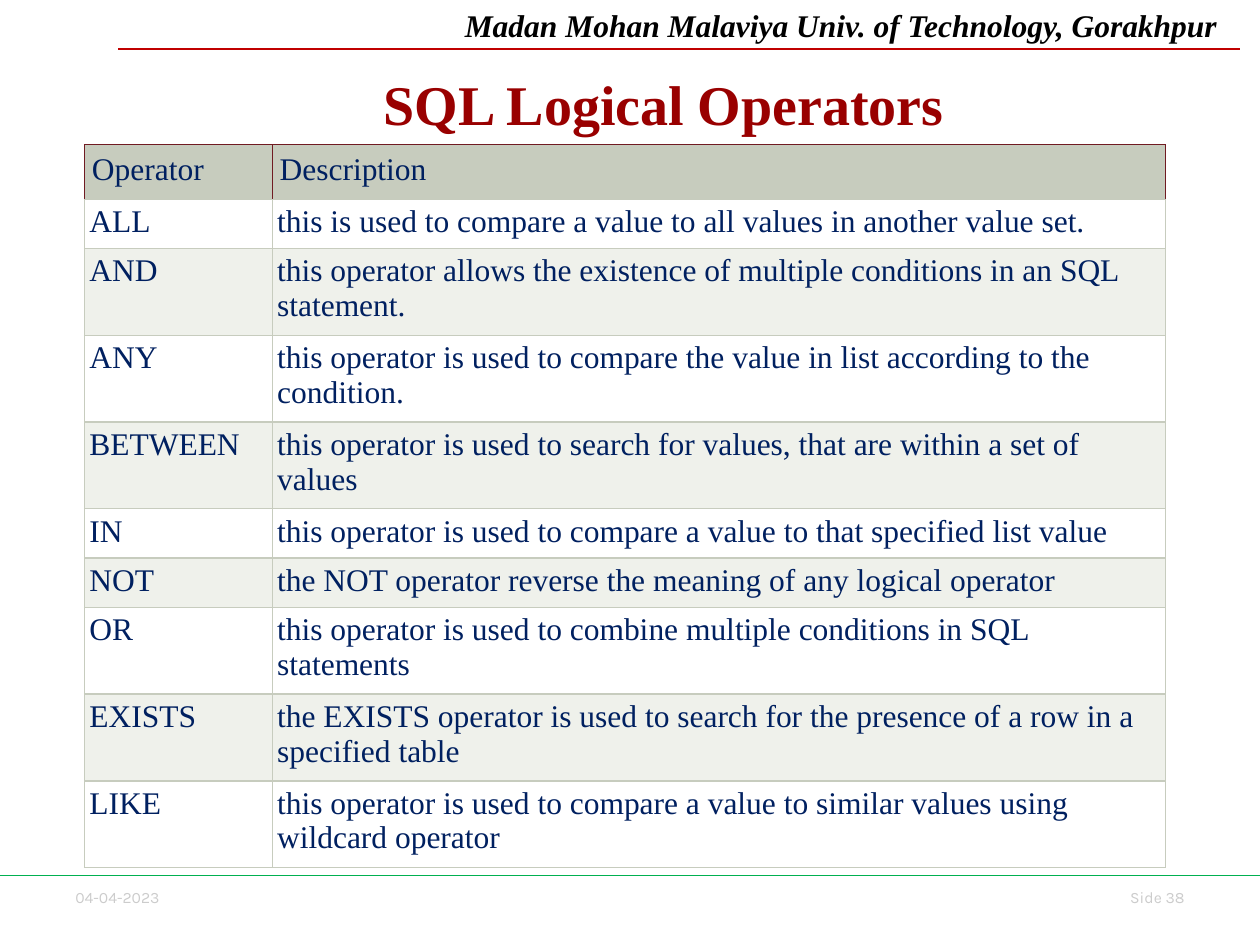
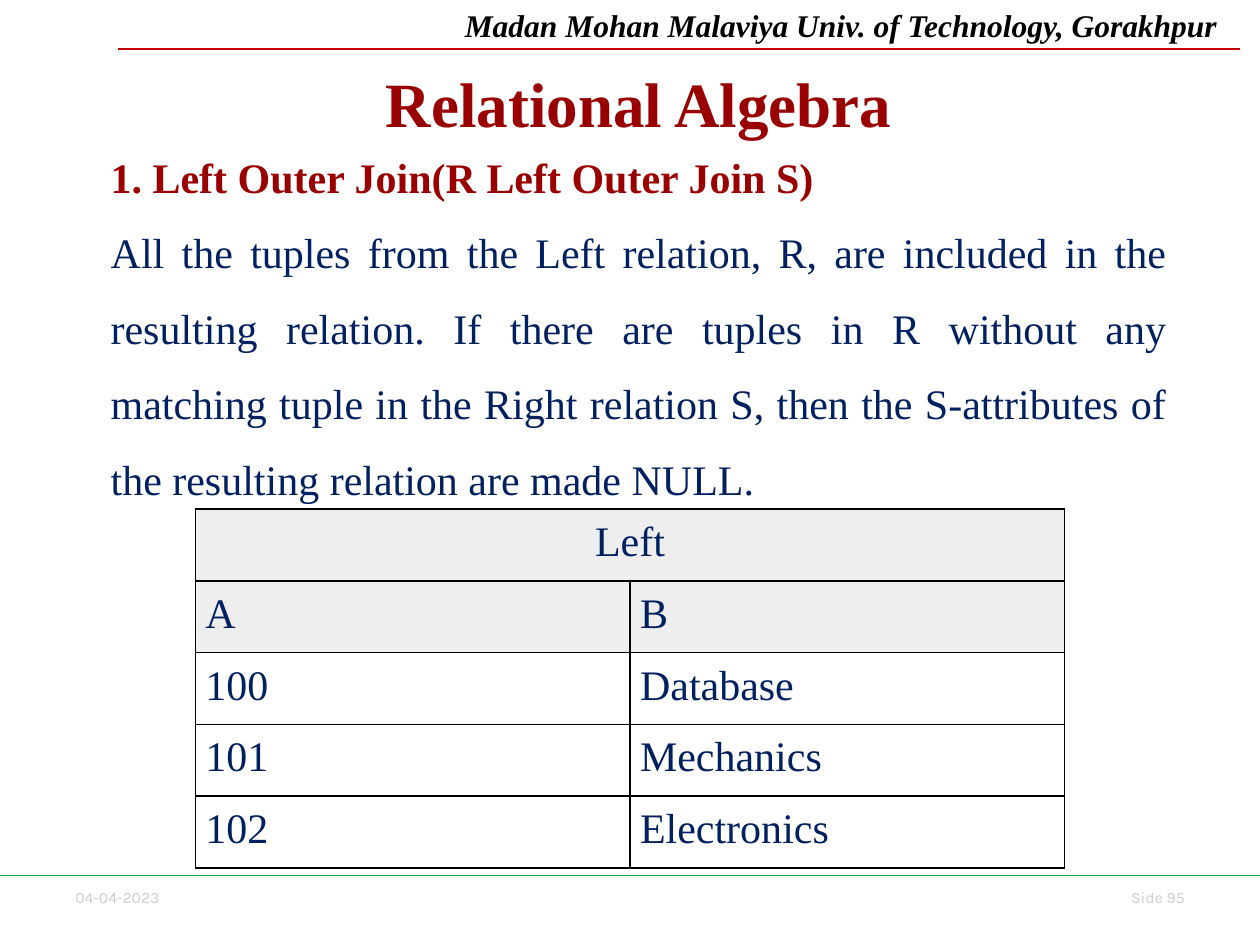
"""Build two slides on SQL logical operators and the left outer join."""
from lxml import etree
from pptx import Presentation
from pptx import util as u
from pptx.dml.color import RGBColor
from pptx.enum import shapes, text
from pptx.oxml.ns import qn

HUES = {
    "ink": "002060", "title": "990000", "black": "000000", "white": "FFFFFF",
    "pale": "CCCCCC", "red": "C00000", "green": "00B050", "wine": "701B22",
    "sage": "C7CCBE", "mist": "EFF1EB", "grey": "EEEEEE",
}
SERIF, SANS = "Times New Roman", "Karla"
LEFT, MID, RIGHT, FULL = (text.PP_ALIGN.LEFT, text.PP_ALIGN.CENTER,
                          text.PP_ALIGN.RIGHT, text.PP_ALIGN.JUSTIFY)
SCHOOL = "Madan Mohan Malaviya Univ. of Technology, Gorakhpur"
DATE = "04-04-2023"

OPS = [
    ("Operator", "Description"),
    ("ALL", "this is used to compare a value to all values in another value set."),
    ("AND", "this operator allows the existence of multiple conditions in an SQL statement."),
    ("ANY", "this operator is used to compare the value in list according to the condition."),
    ("BETWEEN", "this operator is used to search for values, that are within a set of values"),
    ("IN", "this operator is used to compare a value to that specified list value"),
    ("NOT", "the NOT operator reverse the meaning of any logical operator"),
    ("OR", "this operator is used to combine multiple conditions in SQL statements"),
    ("EXISTS", "the EXISTS operator is used to search for the presence of a row in a specified table"),
    ("LIKE", "this operator is used to compare a value to similar values using wildcard operator"),
]
ONE, TWO = 0.39, 0.69
OP_ROWS = [0.43, ONE, TWO, TWO, TWO, ONE, ONE, TWO, TWO, TWO]
JOIN = [("Left", ""), ("A", "B"), ("100", "Database"),
        ("101", "Mechanics"), ("102", "Electronics")]
JOIN_HEAD = "1. Left Outer Join(R Left Outer Join S)"
JOIN_TEXT = ("All the tuples from the Left relation, R, are included in the "
             "resulting relation. If there are tuples in R without any matching "
             "tuple in the Right relation S, then the S-attributes of the "
             "resulting relation are made NULL.")


def hue(name):
    return RGBColor.from_string(HUES[name])


def add_run(para, words, size, color="ink", face=SERIF, bold=False, slant=False):
    run = para.add_run()
    run.text = words
    font = run.font
    font.size, font.name, font.bold, font.italic = u.Pt(size), face, bold, slant
    font.color.rgb = hue(color)


def add_box(slide, left, top, width, height):
    box = slide.shapes.add_textbox(*map(u.Inches, (left, top, width, height)))
    box.text_frame.word_wrap = True
    return box.text_frame


def add_label(slide, place, words, size, color, align=LEFT, **style):
    para = add_box(slide, *place).paragraphs[0]
    para.alignment = align
    add_run(para, words, size, color, **style)


def add_rule(slide, start, end, top, color):
    line = slide.shapes.add_connector(
        shapes.MSO_CONNECTOR.STRAIGHT,
        *map(u.Inches, (start, top, end, top)))
    line.line.color.rgb = hue(color)
    line.line.width = u.Pt(0.75)
    etree.SubElement(line._element.spPr, qn("a:effectLst"))


def add_page(deck, title, left, size, number):
    slide = deck.slides.add_slide(deck.slide_layouts[5])
    add_label(slide, (0.5, 7, 1.03, 0.25), DATE, 9, "pale", face=SANS)
    add_label(slide, (8.67, 7, 0.83, 0.25), f"Side {number}", 9, "pale", RIGHT, face=SANS)
    add_label(slide, (3.59, 0, 6.41, 0.4), SCHOOL, 18, "black", bold=True, slant=True)
    add_rule(slide, 0.94, 9.84, 0.39, "red")
    add_rule(slide, 0, 10, 6.95, "green")
    head = slide.shapes.title
    head.left, head.top, head.width, head.height = map(u.Inches, (left, 0.44, 8.58, 0.75))
    head.text_frame.vertical_anchor = text.MSO_ANCHOR.MIDDLE
    para = head.text_frame.paragraphs[0]
    para.alignment = MID
    add_run(para, title, size, "title", bold=True)
    return slide


def set_edges(cell, width, **sides):
    props = cell._tc.get_or_add_tcPr()
    for side in "LRTB":
        edge = etree.SubElement(props, qn(f"a:ln{side}"), w=str(u.Pt(width)))
        fill = etree.SubElement(edge, qn("a:solidFill"))
        etree.SubElement(fill, qn("a:srgbClr"), val=HUES[sides[side]])


def fill_cell(cell, words, size, pad, color):
    cell.margin_left = cell.margin_right = u.Inches(pad)
    cell.margin_top = cell.margin_bottom = u.Inches(pad)
    cell.fill.solid()
    cell.fill.fore_color.rgb = hue(color)
    if words:
        add_run(cell.text_frame.paragraphs[0], words, size)


def add_grid(slide, left, top, cols, rows):
    spots = map(u.Inches, (left, top, sum(cols), sum(rows)))
    grid = slide.shapes.add_table(len(rows), len(cols), *spots).table
    grid.first_row = grid.horz_banding = False
    for col, width in zip(grid.columns, cols):
        col.width = u.Inches(width)
    for row, height in zip(grid.rows, rows):
        row.height = u.Inches(height)
    return grid


def add_ops(slide):
    grid = add_grid(slide, 0.67, 1.15, [1.49, 7.09], OP_ROWS)
    for i, row in enumerate(OPS):
        side = "sage" if i else "wine"
        top = "wine" if i == 0 else "sage"
        color = ("mist" if i % 2 == 0 else "white") if i else "sage"
        for j, words in enumerate(row):
            cell = grid.cell(i, j)
            set_edges(cell, 0.75, L=side, R=side, T=top, B="sage")
            fill_cell(cell, words, 18, 0.04 if i else 0.06, color)


def add_join(slide):
    grid = add_grid(slide, 1.55, 4.04, [3.45] * 2, [0.57] * len(JOIN))
    for i, row in enumerate(JOIN):
        for j, words in enumerate(row):
            cell = grid.cell(i, j)
            set_edges(cell, 1, **dict.fromkeys("LRTB", "black"))
            fill_cell(cell, words, 24, 0.08, "grey" if i < 2 else "white")
    head = grid.cell(0, 0)
    head.merge(grid.cell(0, 1))
    head.text_frame.paragraphs[0].alignment = MID


def add_prose(slide):
    frame = add_box(slide, 0.78, 1.15, 8.58, 2.86)
    add_run(frame.paragraphs[0], JOIN_HEAD, 24, "title", bold=True)
    para = frame.add_paragraph()
    para.alignment, para.line_spacing = FULL, 1.5
    add_run(para, JOIN_TEXT, 24)


def main():
    deck = Presentation()
    deck.slide_width, deck.slide_height = u.Inches(10), u.Inches(7.5)
    add_ops(add_page(deck, "SQL Logical Operators", 0.98, 32, 38))
    slide = add_page(deck, "Relational Algebra", 0.78, 36, 95)
    add_prose(slide)
    add_join(slide)
    deck.save("out.pptx")


if __name__ == "__main__":
    main()
